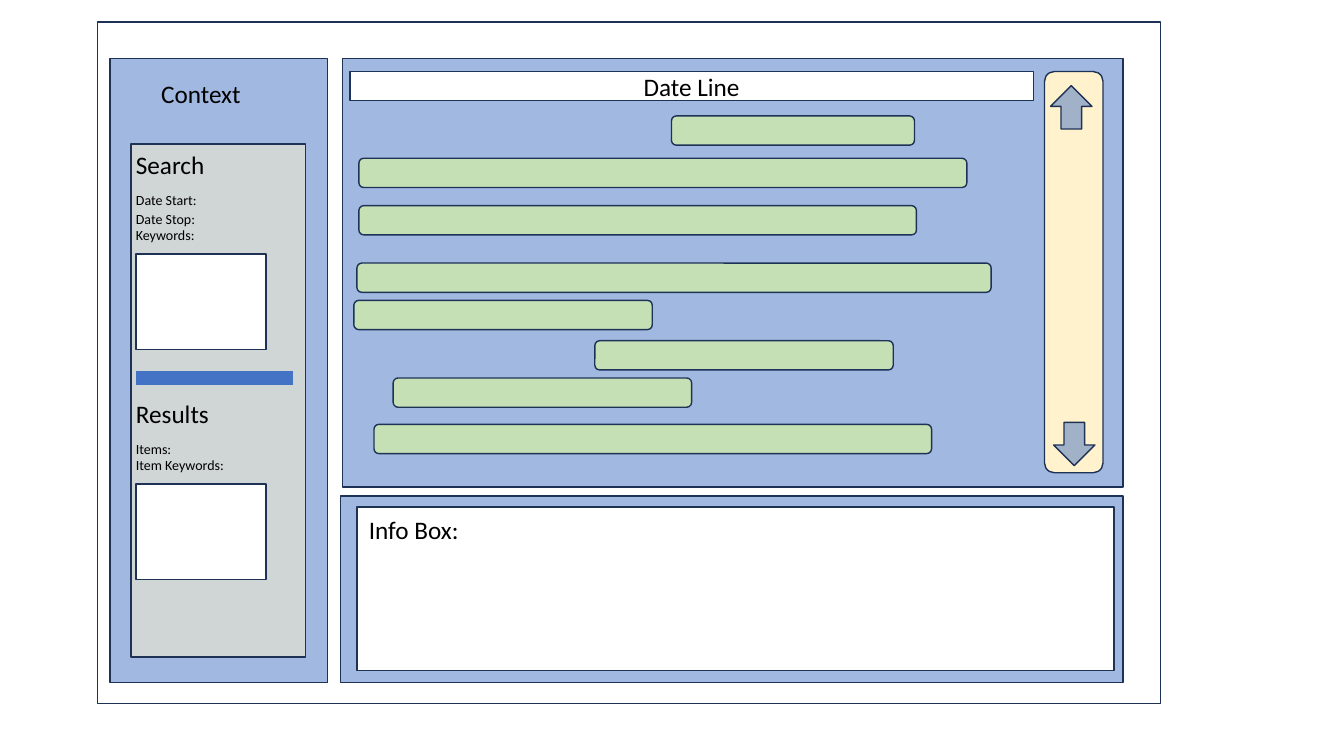
from collections import namedtuple

from lxml.etree import SubElement
from pptx import Presentation
from pptx.dml.color import RGBColor
from pptx.enum.shapes import MSO_CONNECTOR, MSO_SHAPE
from pptx.enum.text import MSO_ANCHOR, MSO_AUTO_SIZE, PP_ALIGN
from pptx.oxml.ns import qn
from pptx.util import Inches, Pt

# The slide is a fine grid: 1333 columns by 750 rows
COLUMNS, ROWS = 1333, 750
CELL = Inches(0.01)
FONT = "Calibri"
OUTLINE, BLUE, CREAM, GREEN, WHITE, BLACK = (
    "1E3256", "4472C4", "FFF2CC", "C5E0B4", "FFFFFF", "000000")
HEADING, LABEL = 18, 10

Box = namedtuple("Box", "left top width height")


def inside(box, column, row, width, height):
    """Box given by its offset from the corner of another box."""
    return Box(box.left + column, box.top + row, width, height)


def emu(box):
    return [round(length * CELL) for length in box]


def paint(color_format, color):
    color_format.rgb = RGBColor.from_string(color)


def add_panel(page, box, fill=None, opacity=100, kind=MSO_SHAPE.RECTANGLE):
    shape = page.shapes.add_shape(kind, *emu(box))
    shape.shadow.inherit = False
    paint(shape.line.color, OUTLINE)
    shape.line.width = Pt(1)
    if fill is None:
        shape.fill.background()
        return shape
    shape.fill.solid()
    paint(shape.fill.fore_color, fill)
    if opacity < 100:
        color = shape.fill._xPr.find(qn("a:solidFill"))[0]
        SubElement(color, qn("a:alpha"), val=str(opacity * 1000))
    return shape


def write(frame, text, size):
    para = frame.paragraphs[0]
    span = para.add_run()
    span.text = text
    span.font.name = FONT
    span.font.size = Pt(size)
    paint(span.font.color, BLACK)
    return para


def add_label(page, box, text, size):
    frame = page.shapes.add_textbox(*emu(box)).text_frame
    frame.word_wrap = False
    frame.auto_size = MSO_AUTO_SIZE.SHAPE_TO_FIT_TEXT
    write(frame, text, size)


def add_divider(page, box):
    left, top, width, _ = emu(box)
    line = page.shapes.add_connector(
        MSO_CONNECTOR.STRAIGHT, left, top, left + width, top)
    paint(line.line.color, BLUE)
    line.line.width = Pt(10)
    SubElement(line._element.spPr, qn("a:effectLst"))


def add_section(page, box, heading, labels, field_row):
    """Heading, small labels at given rows, and a white field."""
    heading_width = 93
    add_label(page, inside(box, 0, 0, heading_width, 40), heading, HEADING)
    for text, row, width in labels:
        add_label(page, inside(box, 0, row, width, 27), text, LABEL)
    add_panel(page, inside(box, 10, field_row, 129, 95), WHITE)


def add_context(page, box):
    add_panel(page, box, BLUE, 50)
    add_label(page, inside(box, 41, 15, 100, 40), "Context", HEADING)
    form = inside(box, 21, 85, 173, 509)
    add_panel(page, form, CREAM, 50)
    search = inside(form, -5, 0, 173, 204)
    add_section(page, search, "Search", [
        ("Date Start:", 42, 82),
        ("Date Stop:", 61, 80),
        ("Keywords:", 77, 80),
    ], field_row=109)
    add_divider(page, inside(form, 5, 232, 156, 0))
    results = inside(form, -5, 247, 173, 185)
    add_section(page, results, "Results", [
        ("Items:", 42, 56),
        ("Item Keywords:", 58, 109),
    ], field_row=90)


def add_scrollbar(page, box):
    add_panel(page, box, CREAM, kind=MSO_SHAPE.ROUNDED_RECTANGLE)
    for column, row, turn in [(6, 14, 180), (9, 348, 0)]:
        arrow = add_panel(page, inside(box, column, row, 41, 43),
                          BLUE, 50, MSO_SHAPE.DOWN_ARROW)
        arrow.rotation = turn


def add_timeline(page, box):
    add_panel(page, box, BLUE, 50)
    bar_height = 29
    # Date header
    header = add_panel(page, inside(box, 7, 13, 678, bar_height), WHITE)
    frame = header.text_frame
    frame.vertical_anchor = MSO_ANCHOR.MIDDLE
    write(frame, "Date Line", HEADING).alignment = PP_ALIGN.CENTER
    # Event bars: column, row, width
    for column, row, width in [
        (326, 57, 241), (16, 99, 603), (16, 146, 553), (14, 203, 629),
        (11, 240, 296), (250, 280, 296), (50, 317, 296), (31, 363, 553),
    ]:
        add_panel(page, inside(box, column, row, width, bar_height),
                  GREEN, kind=MSO_SHAPE.ROUNDED_RECTANGLE)
    add_scrollbar(page, inside(box, 696, 13, 58, 398))


def add_info(page, box):
    add_panel(page, box, BLUE, 50)
    add_panel(page, inside(box, 16, 11, 751, 162), WHITE)
    add_label(page, inside(box, 18, 13, 110, 40), "Info Box:", HEADING)


def add_wireframe(page, box):
    add_panel(page, box)
    add_timeline(page, inside(box, 243, 36, 774, 425))
    add_context(page, inside(box, 12, 36, 216, 619))
    add_info(page, inside(box, 241, 470, 776, 185))


deck = Presentation()
deck.slide_width = COLUMNS * CELL
deck.slide_height = ROWS * CELL
blank_layout = deck.slide_layouts[6]
add_wireframe(deck.slides.add_slide(blank_layout), Box(97, 22, 1054, 676))
deck.save("out.pptx")
